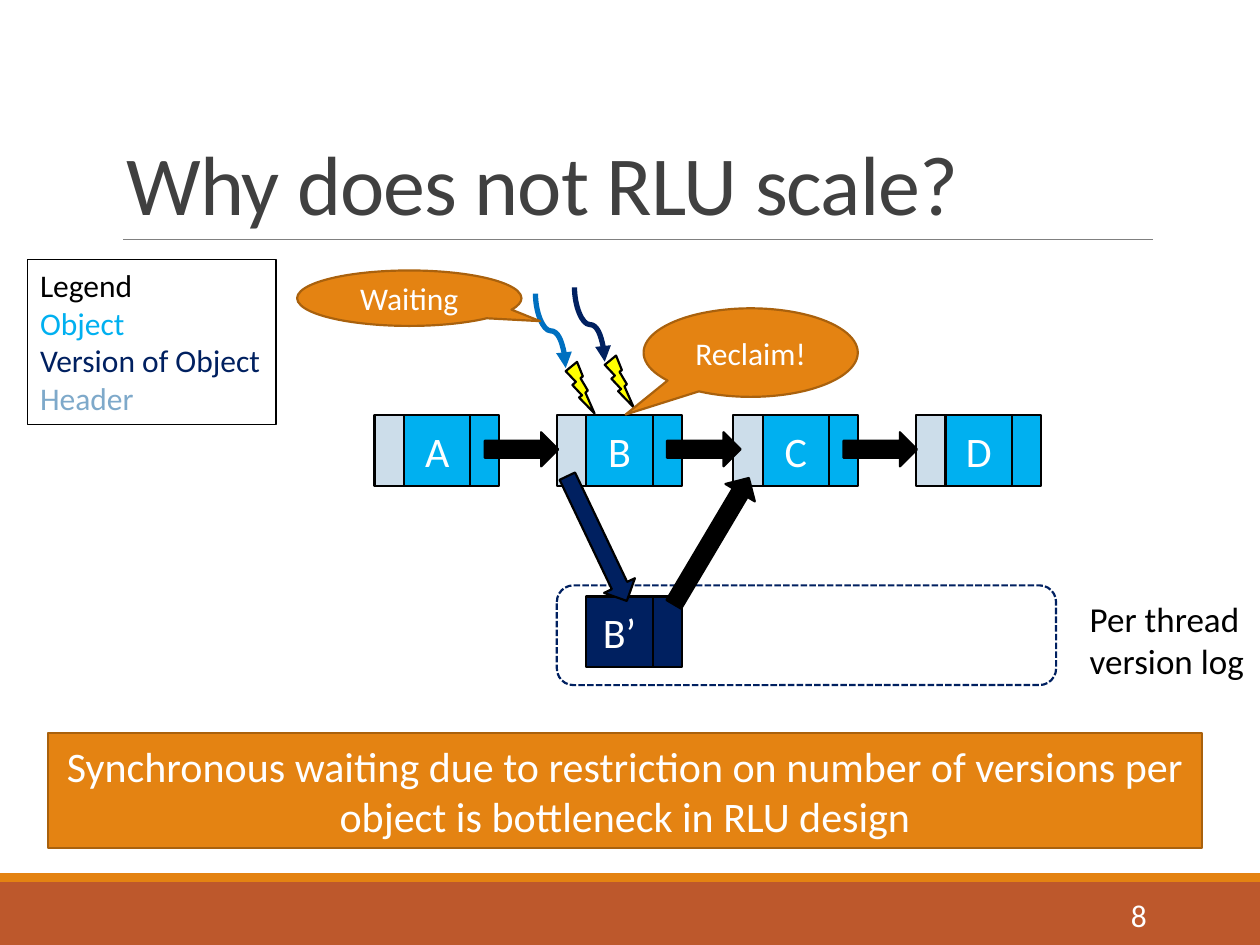
from lxml.etree import SubElement
from pptx import Presentation
from pptx.dml.color import RGBColor
from pptx.enum.dml import MSO_LINE
from pptx.enum.shapes import MSO_CONNECTOR as Connector, MSO_SHAPE as Shape
from pptx.enum.text import MSO_ANCHOR as Anchor, MSO_AUTO_SIZE as AutoSize, PP_ALIGN as Align
from pptx.oxml.ns import qn
from pptx.util import Pt

COLORS = {
    "black": "000000", "white": "FFFFFF", "title": "404040", "rule": "808080",
    "object": "00B0F0", "version": "002060", "header": "CCDDEA",
    "header_text": "7EA9CA", "thread": "0070C0", "bolt": "FFFF00",
    "orange": "E48312", "orange_edge": "A9610D", "rust": "BD582C",
}


def color(name):
    return RGBColor.from_string(COLORS[name])


class SlideBuilder:
    font = "Calibri"
    outline = 1.25

    def __init__(self, slide):
        self.slide = slide

    def add_lines(self, frame, lines, size, align=Align.LEFT, anchor=Anchor.TOP):
        frame.word_wrap = True
        frame.auto_size = AutoSize.NONE
        frame.vertical_anchor = anchor
        for index, (text, text_color) in enumerate(lines):
            paragraph = frame.add_paragraph() if index else frame.paragraphs[0]
            paragraph.alignment = align
            run = paragraph.add_run()
            run.text = text
            run.font.name = self.font
            run.font.size = Pt(size)
            run.font.color.rgb = color(text_color)

    def title(self, text, box):
        shape = self.slide.shapes.title
        shape.left, shape.top, shape.width, shape.height = map(Pt, box)
        self.add_lines(shape.text_frame, [(text, "title")], 48, anchor=Anchor.BOTTOM)
        paragraph = shape.text_frame.paragraphs[0]
        paragraph.line_spacing = 0.85
        paragraph.runs[0].font._element.set("spc", "-50")

    def text(self, lines, box, size, align=Align.LEFT, anchor=Anchor.TOP):
        shape = self.slide.shapes.add_textbox(*map(Pt, box))
        self.add_lines(shape.text_frame, lines, size, align, anchor)

    def shape(self, kind, box, fill=None, line="black", width=outline,
              text=None, size=24, rotation=0):
        shape = self.slide.shapes.add_shape(kind, *map(Pt, box))
        shape.shadow.inherit = False
        shape.rotation = rotation
        if fill:
            shape.fill.solid()
            shape.fill.fore_color.rgb = color(fill)
        else:
            shape.fill.background()
        if line:
            shape.line.color.rgb = color(line)
            shape.line.width = Pt(width)
        else:
            shape.line.fill.background()
        if text:
            self.add_lines(shape.text_frame, [(text, "white")], size, Align.CENTER, Anchor.MIDDLE)
        return shape

    def callout(self, text, box, tip):
        shape = self.shape(Shape.OVAL_CALLOUT, box, "orange", "orange_edge", text=text, size=18)
        for index, value in enumerate(tip):
            shape.adjustments[index] = value

    def connector(self, kind, ends, line, width):
        connector = self.slide.shapes.add_connector(kind, *map(Pt, ends))
        connector.line.color.rgb = color(line)
        connector.line.width = Pt(width)
        SubElement(connector._element.spPr, qn("a:effectLst"))
        return connector

    def thread(self, left, top, line):
        length, shift = 42.5, 17.3
        center_x, center_y = left + shift / 2, top + length / 2
        ends = (center_x + length / 2, center_y - shift / 2,
                center_x - length / 2, center_y + shift / 2)
        connector = self.connector(Connector.CURVE, ends, line, 3)
        connector._element.spPr.find(qn("a:xfrm")).set("rot", str(270 * 60000))
        SubElement(connector._element.spPr.find(qn("a:ln")), qn("a:tailEnd"), type="triangle")
        self.shape(Shape.LIGHTNING_BOLT, (left + 17.3, top + 39, 16.5, 29.5), "bolt")

    def cells(self, label, left, top, fill):
        self.shape(Shape.RECTANGLE, (left, top, 38, 40.5), fill, text=label)
        self.shape(Shape.RECTANGLE, (left + 38, top, 16.6, 40.5), fill)

    def node(self, label, left, top):
        self.cells(label, left + 16.8, top, "object")
        self.shape(Shape.RECTANGLE, (left, top, 16.8, 40.5), "header")

    def arrow(self, left, top, length=42, fill="black", rotation=0):
        self.shape(Shape.RIGHT_ARROW, (left, top, length, 19.5), fill, rotation=rotation)


def main():
    presentation = Presentation()
    presentation.slide_width, presentation.slide_height = Pt(720), Pt(540)
    builder = SlideBuilder(presentation.slides.add_slide(presentation.slide_layouts[5]))

    builder.shape(Shape.RECTANGLE, (0, 504, 720, 36), "rust", None)
    builder.shape(Shape.RECTANGLE, (0, 499, 720, 5), "orange", None)
    builder.connector(Connector.STRAIGHT, (70.5, 136.8, 659, 136.8), "rule", 0.5)
    builder.title("Why does not RLU scale?", (65, 22.5, 594, 114.3))

    node_lefts = {"A": 214, "B": 318.2, "C": 419, "D": 523.5}
    for label, left in node_lefts.items():
        builder.node(label, left, 237)

    log = builder.shape(Shape.FLOWCHART_ALTERNATE_PROCESS, (318.2, 334.5, 285.3, 57),
                        line="version")
    log.line.dash_style = MSO_LINE.SQUARE_DOT
    builder.cells("B’", 335, 340.8, "version")
    builder.arrow(301.7, 298, 79, "version", 64.5)
    builder.arrow(364.5, 299.5, 84, rotation=300.7)
    for label in "ABC":
        builder.arrow(node_lefts[label] + 63, 247)
    builder.text([("Per thread version log", "black")], (615.6, 337.7, 104.4, 55.5), 20)

    builder.thread(328.3, 164.2, "version")
    builder.thread(306, 167.8, "thread")
    builder.callout("Waiting", (169.8, 154.6, 128.2, 31.7), (0.583, 0.414))
    builder.callout("Reclaim!", (367.8, 176.2, 122.4, 50.6), (-0.584, 0.699))

    builder.shape(Shape.RECTANGLE, (27.4, 419, 659.5, 65.5), "orange", "orange_edge",
                  text="Synchronous waiting due to restriction on number of versions "
                       "per object is bottleneck in RLU design")
    builder.text([("8", "white")], (584.6, 508.5, 77.8, 28.8), 18, Align.RIGHT, Anchor.MIDDLE)

    legend = builder.shape(Shape.RECTANGLE, (15.8, 148.3, 142, 94.3), width=0.75)
    builder.add_lines(legend.text_frame, [
        ("Legend", "black"), ("Object", "object"),
        ("Version of Object", "version"), ("Header", "header_text")], 18)

    presentation.save("out.pptx")


if __name__ == "__main__":
    main()
